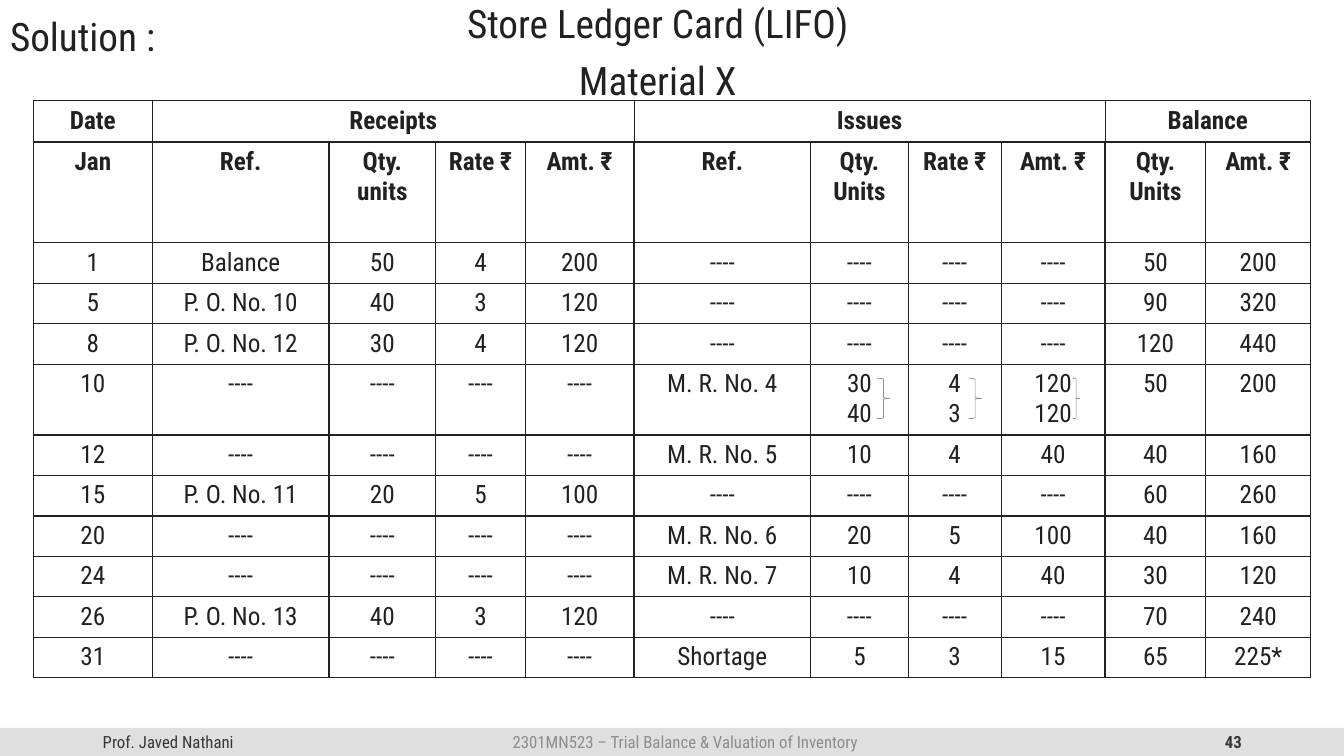
from dataclasses import dataclass

from lxml import etree
from pptx import Presentation
from pptx.dml.color import RGBColor
from pptx.enum.shapes import MSO_SHAPE
from pptx.enum.text import MSO_ANCHOR, MSO_AUTO_SIZE, PP_ALIGN
from pptx.oxml.ns import qn
from pptx.util import Cm, Pt

BAR, BRACE = MSO_SHAPE.ROUNDED_RECTANGLE, MSO_SHAPE.RIGHT_BRACE
TOP, MIDDLE = MSO_ANCHOR.TOP, MSO_ANCHOR.MIDDLE
LEFT, CENTER, RIGHT = PP_ALIGN.LEFT, PP_ALIGN.CENTER, PP_ALIGN.RIGHT
NO_FIT = MSO_AUTO_SIZE.NONE

TITLE = "Solution :"
HEADING = "Store Ledger Card (LIFO)\nMaterial X"
NIL = "----"
NONE_IN = (NIL,) * 4

GROUPS = [("Date", 1), ("Receipts", 4), ("Issues", 4), ("Balance", 2)]
HEADS = ["Jan", "Ref.", "Qty. units", "Rate ₹", "Amt. ₹",
         "Ref.", "Qty. Units", "Rate ₹", "Amt. ₹", "Qty. Units", "Amt. ₹"]
# date, receipts, issues, balance
ENTRIES = [
    ("1", ("Balance", "50", "4", "200"), NONE_IN, ("50", "200")),
    ("5", ("P. O. No. 10", "40", "3", "120"), NONE_IN, ("90", "320")),
    ("8", ("P. O. No. 12", "30", "4", "120"), NONE_IN, ("120", "440")),
    ("10", NONE_IN, ("M. R. No. 4", "30\n40", "4\n3", "120\n120"), ("50", "200")),
    ("12", NONE_IN, ("M. R. No. 5", "10", "4", "40"), ("40", "160")),
    ("15", ("P. O. No. 11", "20", "5", "100"), NONE_IN, ("60", "260")),
    ("20", NONE_IN, ("M. R. No. 6", "20", "5", "100"), ("40", "160")),
    ("24", NONE_IN, ("M. R. No. 7", "10", "4", "40"), ("30", "120")),
    ("26", ("P. O. No. 13", "40", "3", "120"), NONE_IN, ("70", "240")),
    ("31", NONE_IN, ("Shortage", "5", "3", "15"), ("65", "225*")),
]

# Lengths in centimetres
WIDE, HIGH = 33.87, 19.05
GRID_X, GRID_Y = 0.84, 2.54
COLS = [3, 4.45, 2.69, 2.26, 2.74, 4.45, 2.46, 2.34, 2.62, 2.54, 2.64]
GROUP_H, HEAD_H, ROW_H, PAIR_H = 1.04, 2.54, 1.02, 1.78
BRACES = [(22.1, 0.33), (24.41, 0.33), (27.03, 0.18)]  # left, width
BRACE_Y, BRACE_H = 9.53, 1.02
FOOT_Y, FOOT_H = 18.34, 0.71


@dataclass(frozen=True)
class Theme:
    font: str = "Roboto Condensed"
    ink: str = "212121"
    foot: str = "373737"
    muted: str = "8D8D8D"
    brace: str = "909090"
    bar: str = "DFDFDF"
    big: int = 28
    cell: int = 18
    small: int = 12


THEME = Theme()
FOOTER = [
    ("Prof. Javed Nathani", 2.34, 7.62, dict(color=THEME.foot, align=LEFT)),
    ("43", 23.93, 7.62, dict(color=THEME.foot, align=RIGHT, bold=True)),
    ("2301MN523 – Trial Balance & Valuation of Inventory", 10.62, 13.31,
     dict(color=THEME.muted)),
]


def write(frame, text, size=THEME.cell, color=THEME.ink, bold=False,
          align=CENTER, lead=1.0, before=0):
    """Fill a text frame, one paragraph for each line of text."""
    frame.text = text
    for para in frame.paragraphs:
        para.alignment = align
        para.line_spacing = lead
        para.space_before = Pt(before)
        font = para.runs[0].font
        font.name, font.size, font.bold = THEME.font, Pt(size), bold
        font.color.rgb = RGBColor.from_string(color)


def place(shape, x, y, w, h):
    shape.left, shape.top, shape.width, shape.height = map(Cm, (x, y, w, h))


def set_frame(frame, anchor):
    frame.word_wrap = True
    frame.auto_size = NO_FIT
    frame.vertical_anchor = anchor


def rule(cell):
    """Draw the four borders of a cell and leave it unfilled."""
    props = cell._tc.get_or_add_tcPr()
    for side in ("lnL", "lnR", "lnT", "lnB"):
        line = etree.SubElement(props, qn("a:" + side), w=str(Pt(1)))
        fill = etree.SubElement(line, qn("a:solidFill"))
        etree.SubElement(fill, qn("a:srgbClr"), val=THEME.ink)
    cell.fill.background()


def add_band(slide, texts, widths, top, height, bold=False):
    """Add one ledger line as a one-row table."""
    table = slide.shapes.add_table(1, len(texts), Cm(GRID_X), Cm(top),
                                   Cm(sum(widths)), Cm(height)).table
    table.first_row = table.horz_banding = False
    table.rows[0].height = Cm(height)
    for i, (text, width) in enumerate(zip(texts, widths)):
        table.columns[i].width = Cm(width)
        cell = table.cell(0, i)
        write(cell.text_frame, text, bold=bold)
        rule(cell)


def add_heads(slide):
    title, body = slide.shapes.title, slide.placeholders[1]
    place(title, 0, 0, WIDE, 1.98)
    set_frame(title.text_frame, MIDDLE)
    write(title.text_frame, TITLE, size=THEME.big, align=LEFT, lead=0.9)
    place(body, 0, 0, 33.15, 15.52)
    set_frame(body.text_frame, TOP)
    write(body.text_frame, HEADING, size=THEME.big, lead=0.9, before=10)
    for para in body.text_frame.paragraphs:
        props = para._p.get_or_add_pPr()
        props.set("marL", "0")
        props.set("indent", "0")
        etree.SubElement(props, qn("a:buNone"))


def add_footer(slide):
    bar = slide.shapes.add_shape(BAR, 0, Cm(FOOT_Y), Cm(WIDE), Cm(FOOT_H))
    bar.adjustments[0] = 0
    bar.shadow.inherit = False
    bar.fill.solid()
    bar.fill.fore_color.rgb = RGBColor.from_string(THEME.bar)
    bar.line.fill.background()
    for text, x, w, look in FOOTER:
        box = slide.shapes.add_textbox(Cm(x), Cm(FOOT_Y), Cm(w), Cm(FOOT_H))
        set_frame(box.text_frame, MIDDLE)
        write(box.text_frame, text, size=THEME.small, **look)


def add_ledger(slide):
    names, spans, start = [], [], 0
    for name, count in GROUPS:
        names.append(name)
        spans.append(sum(COLS[start:start + count]))
        start += count
    add_band(slide, names, spans, GRID_Y, GROUP_H, bold=True)
    add_band(slide, HEADS, COLS, GRID_Y + GROUP_H, HEAD_H, bold=True)
    top = GRID_Y + GROUP_H + HEAD_H
    for day, receipt, issue, stock in ENTRIES:
        height = PAIR_H if "\n" in issue[1] else ROW_H
        add_band(slide, [day, *receipt, *issue, *stock], COLS, top, height)
        top += height


def add_braces(slide):
    for x, w in BRACES:
        brace = slide.shapes.add_shape(BRACE, Cm(x), Cm(BRACE_Y), Cm(w), Cm(BRACE_H))
        brace.shadow.inherit = False
        brace.fill.background()
        brace.line.color.rgb = RGBColor.from_string(THEME.brace)
        brace.line.width = Pt(0.5)


def main():
    deck = Presentation()
    deck.slide_width, deck.slide_height = Cm(WIDE), Cm(HIGH)
    slide = deck.slides.add_slide(deck.slide_layouts[1])
    add_heads(slide)
    add_footer(slide)
    add_ledger(slide)
    add_braces(slide)
    deck.save("out.pptx")


if __name__ == "__main__":
    main()
